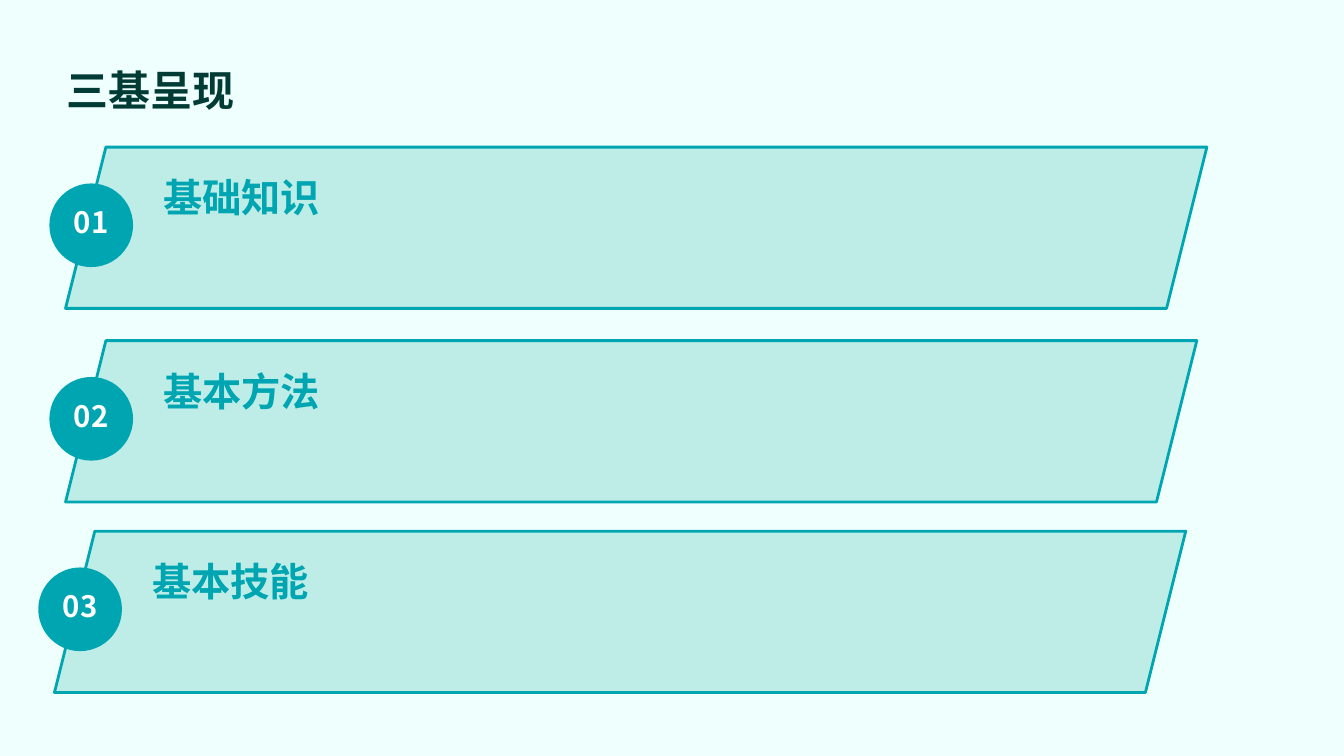
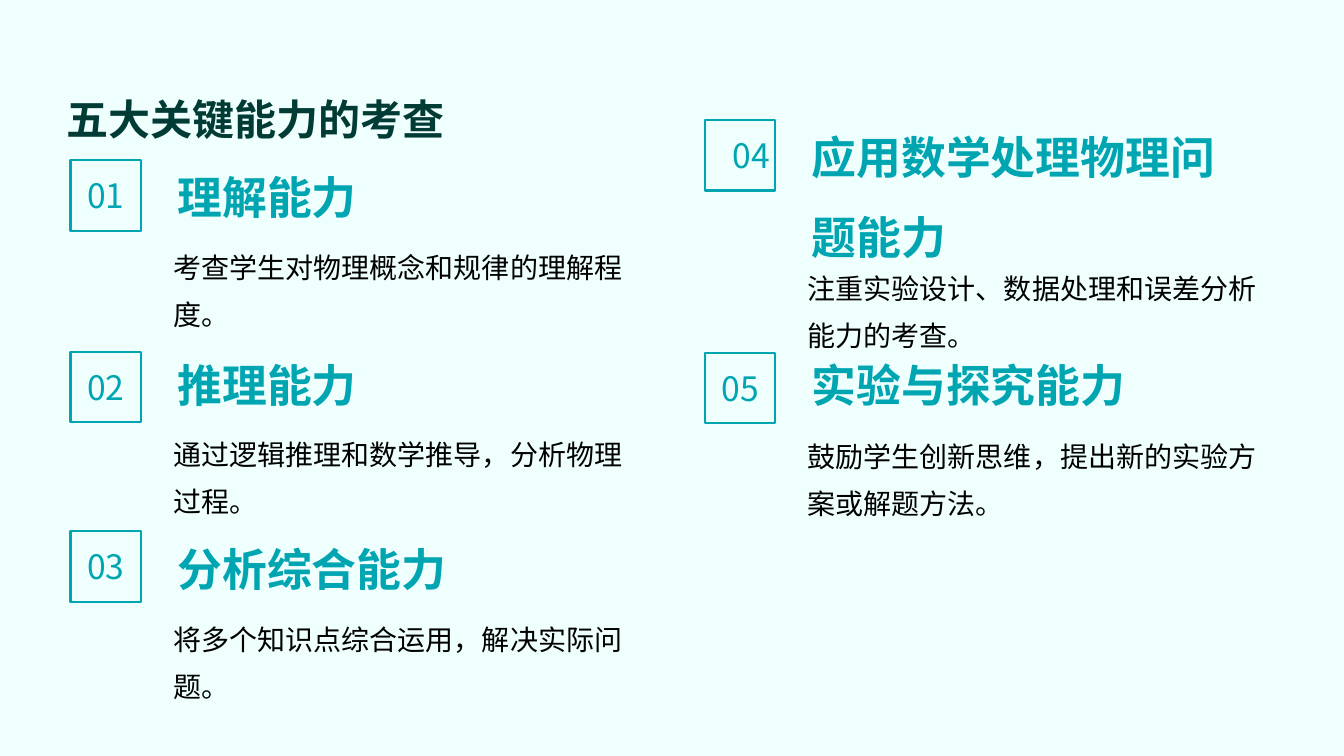
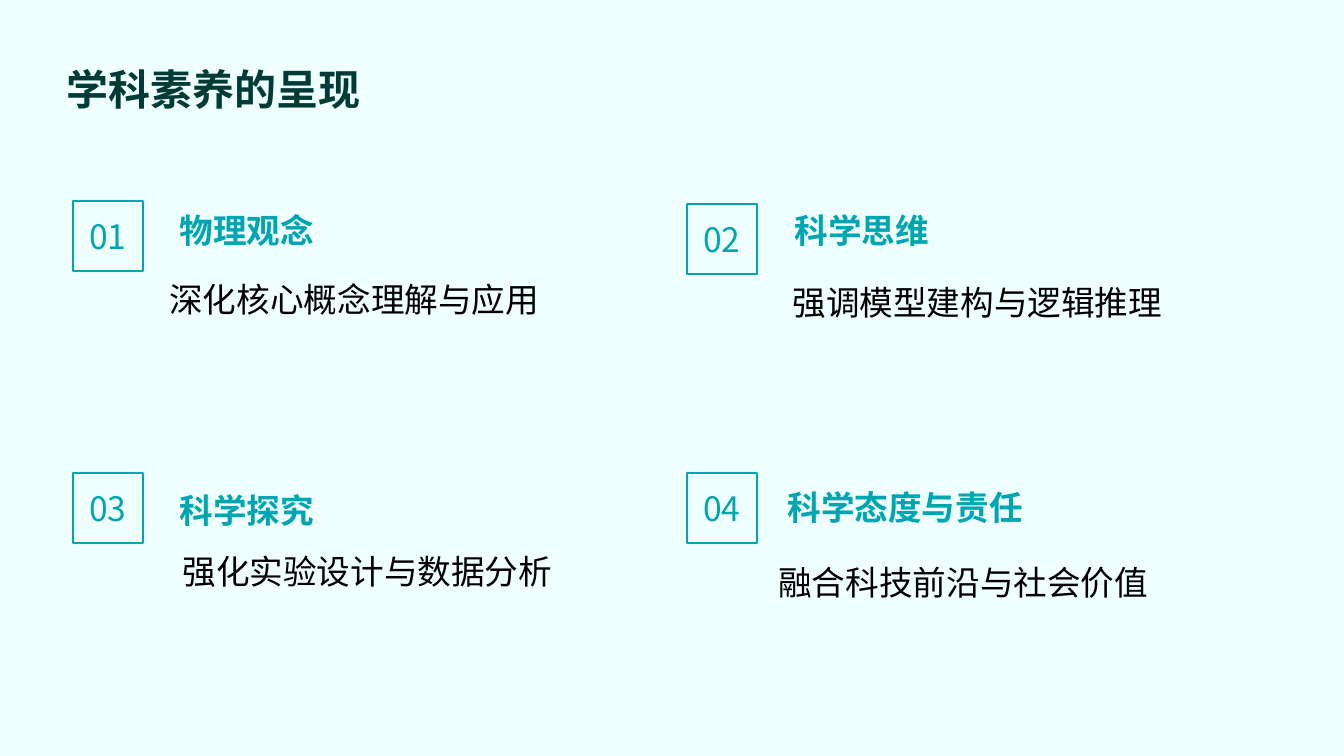
import pptx
import pptx.dml.color
import pptx.enum.shapes
import pptx.enum.text
import pptx.oxml
import pptx.oxml.ns
import pptx.util
from dataclasses import dataclass

Inches = pptx.util.Inches
Pt = pptx.util.Pt
Shape = pptx.enum.shapes.MSO_SHAPE
Align = pptx.enum.text.PP_ALIGN
Anchor = pptx.enum.text.MSO_ANCHOR


@dataclass(frozen=True)
class Theme:
    font: str = "Noto Sans CJK SC"
    # Colours
    background: str = "EFFFFD"
    title: str = "003C35"
    accent: str = "00A5B2"
    band: str = "52C6B8"
    body: str = "000000"
    white: str = "FFFFFF"
    # Type sizes
    title_size: int = 30
    band_size: int = 28
    badge_size: int = 21
    number_size: int = 24
    # Insets: left, top, right, bottom
    heading_insets: tuple = (0.14, 0.14, 0.06, 0.14)
    body_insets: tuple = (0.14, 0.06, 0.06, 0.06)
    band_insets: tuple = (0.07, 0.04, 0.07, 0.04)


def rgb(value):
    return pptx.dml.color.RGBColor.from_string(value)


class Deck:
    def __init__(self, theme):
        self.theme = theme
        self.deck = pptx.Presentation()
        self.deck.slide_width = Inches(13.33)
        self.deck.slide_height = Inches(7.5)
        fill = self.deck.slide_master.background.fill
        fill.solid()
        fill.fore_color.rgb = rgb(theme.background)
        self.page = None

    def new_page(self, title, top=0.29, anchor=Anchor.TOP):
        self.page = self.deck.slides.add_slide(self.deck.slide_layouts[6])
        self.text((0.52, top, 12.29, 1), title, self.theme.title_size,
                  self.theme.title, self.theme.heading_insets, 1.4, True, anchor)

    def fill_text(self, shape, text, size, color, insets=(0, 0, 0, 0),
                  spacing=1.0, bold=False, anchor=Anchor.TOP, align=Align.LEFT):
        frame = shape.text_frame
        frame.word_wrap = True
        frame.vertical_anchor = anchor
        (frame.margin_left, frame.margin_top,
         frame.margin_right, frame.margin_bottom) = map(Inches, insets)
        para = frame.paragraphs[0]
        para.alignment = align
        para.line_spacing = spacing
        span = para.add_run()
        span.text = text
        span.font.size = Pt(size)
        span.font.bold = bold
        span.font.color.rgb = rgb(color)
        span.font.name = self.theme.font
        # East Asian text needs its own typeface entry
        east_asian = pptx.oxml.parse_xml(
            f'<a:ea {pptx.oxml.ns.nsdecls("a")} typeface="{self.theme.font}"/>')
        span.font._element.find(pptx.oxml.ns.qn("a:latin")).addnext(east_asian)

    def text(self, place, text, *style):
        box = self.page.shapes.add_textbox(*map(Inches, place))
        self.fill_text(box, text, *style)

    def shape(self, kind, place, fill=None, line=None, width=1.5, alpha=None):
        shape = self.page.shapes.add_shape(kind, *map(Inches, place))
        shape.shadow.inherit = False
        if fill:
            shape.fill.solid()
            shape.fill.fore_color.rgb = rgb(fill)
        else:
            shape.fill.background()
        if alpha:
            color = shape._element.spPr.find(".//" + pptx.oxml.ns.qn("a:srgbClr"))
            color.append(pptx.oxml.parse_xml(
                f'<a:alpha {pptx.oxml.ns.nsdecls("a")} val="{alpha * 1000}"/>'))
        if line:
            shape.line.color.rgb = rgb(line)
            shape.line.width = Pt(width)
        else:
            shape.line.fill.background()
        return shape

    def numbered_band(self, left, top, width, number, heading):
        theme = self.theme
        band = self.shape(Shape.PARALLELOGRAM, (left, top, width, 1.6),
                          theme.band, theme.accent, 2, alpha=31)
        band.adjustments[0] = 0.25
        badge = self.shape(Shape.OVAL, (left - 0.16, top + 0.36, 0.83, 0.83),
                           theme.accent)
        self.fill_text(badge, number, theme.badge_size, theme.white, spacing=0.8,
                       bold=True, anchor=Anchor.MIDDLE, align=Align.CENTER)
        self.text((left + 0.9, top + 0.13, 5.63, 0.54), heading,
                  theme.band_size, theme.accent, theme.band_insets, 1.2, True)

    def number_square(self, left, top, number, indent=0):
        square = self.shape(Shape.RECTANGLE, (left, top, 0.7, 0.7),
                            line=self.theme.accent)
        self.fill_text(square, number, self.theme.number_size,
                       self.theme.accent, insets=(indent, 0, 0, 0),
                       anchor=Anchor.MIDDLE, align=Align.CENTER)

    def heading(self, place, text, size, anchor=Anchor.TOP):
        self.text(place, text, size, self.theme.accent,
                  self.theme.heading_insets, 1.5, True, anchor)

    def body(self, place, text, size):
        self.text(place, text, size, self.theme.body,
                  self.theme.body_insets, 1.4)


def build_basics(deck):
    deck.new_page("三基呈现", anchor=Anchor.MIDDLE)
    bands = [
        (0.65, 1.46, 11.32, "基础知识"),
        (0.65, 3.38, 11.22, "基本方法"),
        (0.54, 5.27, 11.22, "基本技能"),
    ]
    for index, (left, top, width, heading) in enumerate(bands, 1):
        deck.numbered_band(left, top, width, f"{index:02}", heading)


def build_abilities(deck):
    deck.new_page("五大关键能力的考查", top=0.59)
    # Column left, tops of square, heading and body, number indent, wording
    abilities = [
        (0.7, 1.59, 1.59, 2.29, 0, "理解能力",
         "考查学生对物理概念和规律的理解程度。"),
        (0.7, 3.49, 3.46, 4.15, 0, "推理能力",
         "通过逻辑推理和数学推导，分析物理过程。"),
        (0.7, 5.27, 5.28, 5.98, 0, "分析综合能力",
         "将多个知识点综合运用，解决实际问题。"),
        (6.99, 1.19, 1.59, 2.5, 0.23, "应用数学处理物理问题能力",
         "注重实验设计、数据处理和误差分析能力的考查。"),
        (6.99, 3.5, 3.46, 4.17, 0, "实验与探究能力",
         "鼓励学生创新思维，提出新的实验方案或解题方法。"),
    ]
    for index, (left, square_top, heading_top, body_top, indent,
                heading, body) in enumerate(abilities, 1):
        deck.number_square(left, square_top, f"{index:02}", indent)
        deck.heading((left + 0.92, heading_top, 4.61, 0.45), heading, 32,
                     Anchor.MIDDLE)
        deck.body((left + 0.88, body_top, 4.79, 1.25), body, 20)


def build_literacy(deck):
    deck.new_page("学科素养的呈现")
    # Left and top of square, heading and body, then wording
    literacies = [
        ((0.72, 1.99), (1.64, 1.74), (1.54, 2.55),
         "物理观念", "深化核心概念理解与应用"),
        ((6.81, 2.02), (7.74, 1.74), (7.72, 2.58),
         "科学思维", "强调模型建构与逻辑推理"),
        ((0.72, 4.69), (1.64, 4.52), (1.67, 5.25),
         "科学探究", "强化实验设计与数据分析"),
        ((6.81, 4.69), (7.67, 4.49), (7.58, 5.35),
         "科学态度与责任", "融合科技前沿与社会价值"),
    ]
    for index, (square_at, heading_at, body_at,
                heading, body) in enumerate(literacies, 1):
        deck.number_square(*square_at, f"{index:02}")
        deck.heading((*heading_at, 4.61, 0.81), heading, 24)
        deck.body((*body_at, 4.64, 0.98), body, 24)


def main():
    deck = Deck(Theme())
    build_basics(deck)
    build_abilities(deck)
    build_literacy(deck)
    deck.deck.save("out.pptx")


if __name__ == "__main__":
    main()
